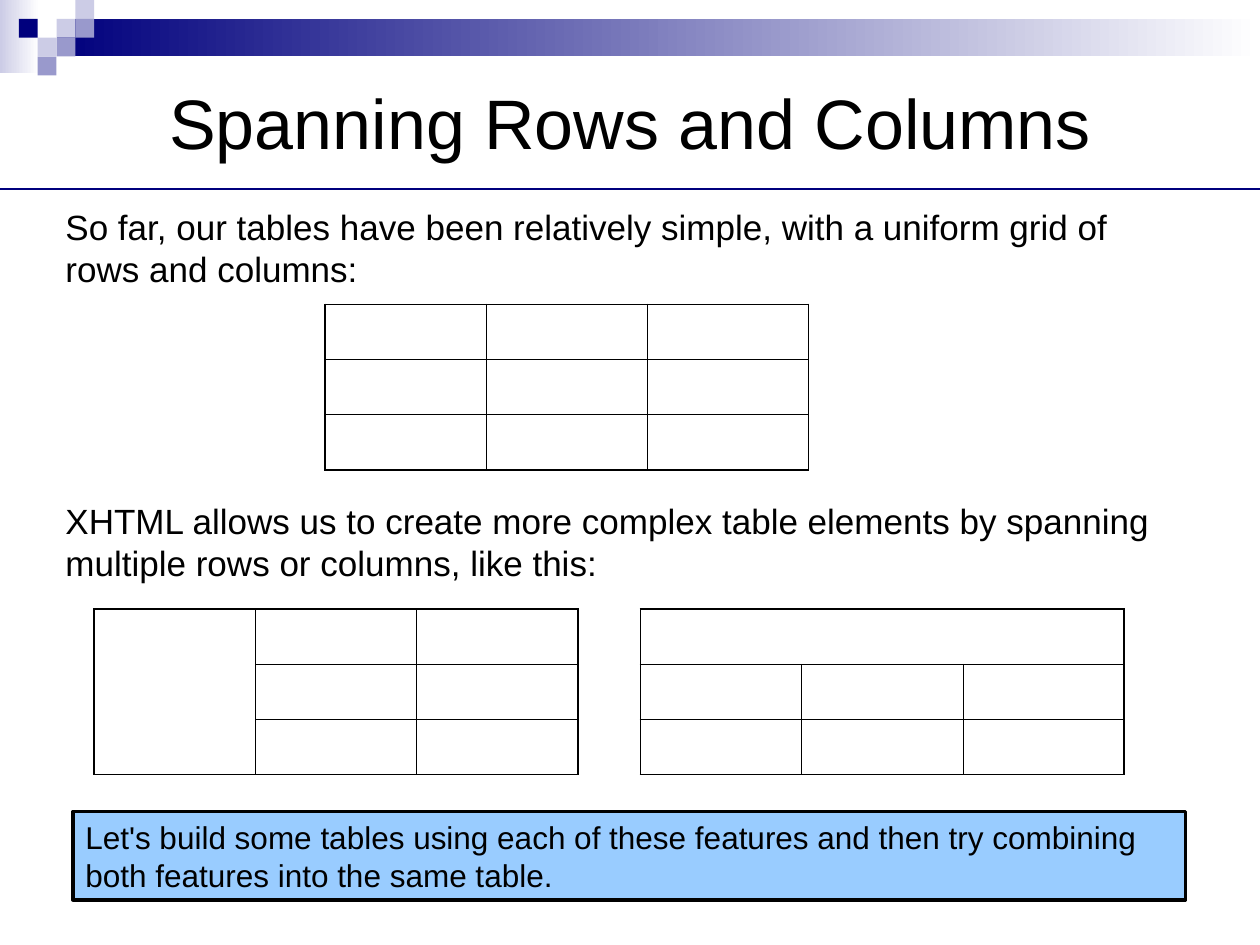
from lxml import etree
from pptx import Presentation
from pptx.dml.color import RGBColor
from pptx.enum.shapes import MSO_CONNECTOR, MSO_SHAPE
from pptx.enum.text import MSO_ANCHOR, PP_ALIGN
from pptx.oxml.ns import qn
from pptx.util import Cm, Pt

RECT = MSO_SHAPE.RECTANGLE
STRAIGHT = MSO_CONNECTOR.STRAIGHT
MIDDLE, TOP = MSO_ANCHOR.MIDDLE, MSO_ANCHOR.TOP
CENTER, LEFT = PP_ALIGN.CENTER, PP_ALIGN.LEFT

BLACK = RGBColor(0x00, 0x00, 0x00)
WHITE = RGBColor(0xFF, 0xFF, 0xFF)
NAVY = RGBColor(0x00, 0x00, 0x7D)
LILAC = RGBColor(0x99, 0x99, 0xCC)
PALE = RGBColor(0xCC, 0xCC, 0xE6)
SKY = RGBColor(0x99, 0xCC, 0xFF)

WIDTH, HEIGHT = 25.4, 19.05
TILE = 0.38
TILES = [(3, 1, PALE), (4, 0, PALE), (4, 1, LILAC), (2, 2, PALE),
         (1, 1, NAVY), (3, 2, LILAC), (2, 3, LILAC)]
COUNT = 3
COL, ROW = 3.25, 1.11
THICK, THIN = 1.08, 0.45


class Deck:
    def __init__(self, slide, font="Arial"):
        self.slide = slide
        self.font = font

    def rect(self, x, y, w, h, color, fade=False):
        """Add a borderless rectangle, optionally fading to white at right."""
        shape = self.slide.shapes.add_shape(RECT, Cm(x), Cm(y), Cm(w), Cm(h))
        shape.shadow.inherit = False
        shape.line.fill.background()
        if fade:
            shape.fill.gradient()
            shape.fill.gradient_angle = 0
            for stop, tint, pos in zip(shape.fill.gradient_stops,
                                       (color, WHITE), (0, 1)):
                stop.color.rgb = tint
                stop.position = pos
        else:
            shape.fill.solid()
            shape.fill.fore_color.rgb = color
        return shape

    def label(self, shape, words, size, align=LEFT, anchor=TOP, gap=0):
        frame = shape.text_frame
        frame.word_wrap = True
        frame.vertical_anchor = anchor
        para = frame.paragraphs[0]
        para.text = words
        para.alignment = align
        para.space_before = para.space_after = Pt(gap)
        para.font.name = self.font
        para.font.size = Pt(size)
        para.font.color.rgb = BLACK

    def text(self, x, y, w, h, words, size, **style):
        box = self.slide.shapes.add_textbox(Cm(x), Cm(y), Cm(w), Cm(h))
        self.label(box, words, size, **style)

    def note(self, x, y, w, h, words, size):
        box = self.rect(x, y, w, h, SKY)
        box.line.color.rgb = BLACK
        box.line.width = Pt(2)
        self.label(box, words, size, gap=6)

    def rule(self, y):
        line = self.slide.shapes.add_connector(
            STRAIGHT, Cm(0), Cm(y), Cm(WIDTH), Cm(y))
        line.line.color.rgb = NAVY
        line.line.width = Pt(1.25)
        etree.SubElement(line._element.spPr, qn("a:effectLst"))

    def edge(self, cell, tags):
        """Draw cell borders; tags maps each border name to its width."""
        props = cell._tc.get_or_add_tcPr()
        for spot, (tag, width) in enumerate(tags.items()):
            line = etree.Element(qn(f"a:{tag}"), w=str(int(Pt(width))))
            if width:
                fill = etree.SubElement(line, qn("a:solidFill"))
                etree.SubElement(fill, qn("a:srgbClr"), val=str(BLACK))
            else:
                etree.SubElement(line, qn("a:noFill"))
            props.insert(spot, line)

    def grid(self, x, y, rows=1, cols=1):
        """Add an empty grid whose first cell spans the given rows and cols."""
        table = self.slide.shapes.add_table(
            COUNT, COUNT, Cm(x), Cm(y), Cm(COUNT * COL), Cm(COUNT * ROW)).table
        table.first_row = table.horz_banding = False
        for col in table.columns:
            col.width = Cm(COL)
        for row in table.rows:
            row.height = Cm(ROW)
        if rows * cols > 1:
            table.cell(0, 0).merge(table.cell(rows - 1, cols - 1))
        last = COUNT - 1
        for r in range(COUNT):
            for c in range(COUNT):
                cell = table.cell(r, c)
                cell.fill.background()
                cell.text_frame.paragraphs[0].font.size = Pt(18)
                right, low = c, r
                if cell.is_merge_origin:
                    right, low = cols - 1, rows - 1
                inner = 0 if cell.is_spanned else THIN
                self.edge(cell, {
                    "lnL": THICK if c == 0 else inner,
                    "lnR": THICK if right == last else inner,
                    "lnT": THICK if r == 0 else inner,
                    "lnB": THICK if low == last else inner})


def main():
    show = Presentation()
    show.slide_width, show.slide_height = Cm(WIDTH), Cm(HEIGHT)
    deck = Deck(show.slides.add_slide(show.slide_layouts[6]))

    deck.rect(0, 0, 0.79, 1.47, PALE, fade=True)
    deck.rect(3 * TILE, TILE, WIDTH - 3 * TILE, 0.76, NAVY, fade=True)
    for col, row, color in TILES:
        deck.rect(col * TILE, row * TILE, TILE, TILE, color)

    deck.note(1.47, 16.36, 22.43, 1.78,
              "Let's build some tables using each of these features and then "
              "try combining both features into the same table.", 18)
    deck.text(1.27, 1.07, 22.86, 2.74, "Spanning Rows and Columns", 40,
              align=CENTER, anchor=MIDDLE)
    deck.rule(3.81)
    deck.text(1.07, 4.01, 22.86, 1.96,
              "So far, our tables have been relatively simple, with a uniform "
              "grid of rows and columns:", 20)
    deck.grid(6.55, 6.14)
    deck.text(1.07, 9.95, 22.86, 1.96,
              "XHTML allows us to create more complex table elements by "
              "spanning multiple rows or columns, like this:", 20)
    deck.grid(1.9, 12.28, rows=COUNT)
    deck.grid(12.91, 12.28, cols=COUNT)
    show.save("out.pptx")


if __name__ == "__main__":
    main()
